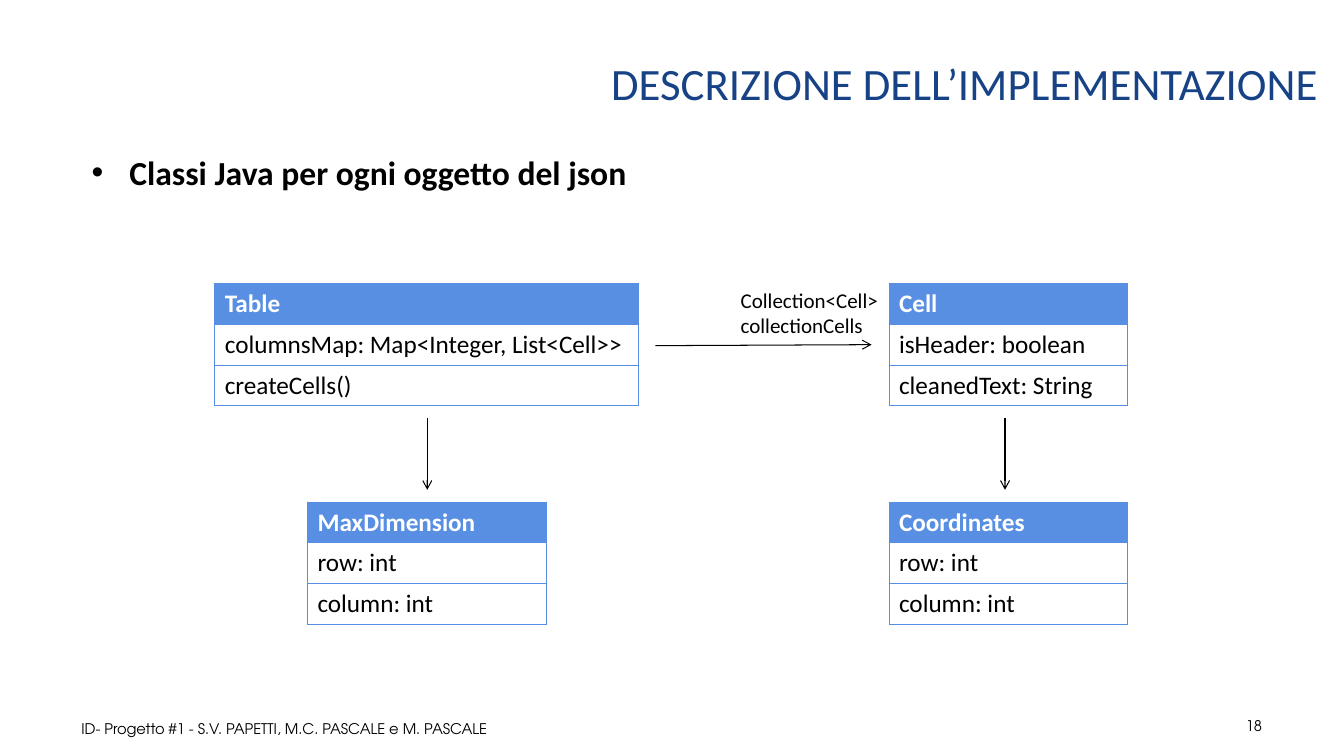
from dataclasses import dataclass

from lxml import etree
from pptx import Presentation
from pptx.dml.color import RGBColor
from pptx.enum.shapes import MSO_CONNECTOR
from pptx.enum.text import MSO_ANCHOR, MSO_AUTO_SIZE, PP_ALIGN
from pptx.oxml.ns import qn
from pptx.util import Pt

LEFT, RIGHT = PP_ALIGN.LEFT, PP_ALIGN.RIGHT
TOP, MIDDLE = MSO_ANCHOR.TOP, MSO_ANCHOR.MIDDLE
STRAIGHT = MSO_CONNECTOR.STRAIGHT
FIXED = MSO_AUTO_SIZE.NONE

COLORS = {"title": "174386", "head": "588FE2", "white": "FFFFFF", "black": "000000"}
BODY, SMALL = "Calibri", "TeX Gyre Adventor"
ROW, LINE = 29.2, 0.75
UPPER, LOWER = 202.3, 358.6
CELL_X, CELL_W = 635, 170.6
TABLE_X, TABLE_W = 153.4, 302.4
TABLE_MID = TABLE_X + TABLE_W / 2 + 0.6
CELL_MID = CELL_X + CELL_W / 2 - 2.4


@dataclass
class Label:
    text: str
    x: float
    y: float
    w: float
    h: float
    size: float
    font: str = BODY
    color: str = "black"
    bold: bool = False
    align: PP_ALIGN = LEFT
    anchor: MSO_ANCHOR = TOP


@dataclass
class Entity:
    x: float
    y: float
    w: float
    rows: tuple[str, ...]


@dataclass
class Arrow:
    x1: float
    y1: float
    x2: float
    y2: float


TITLE = Label("DESCRIZIONE DELL’IMPLEMENTAZIONE", 95, 19.4, 854, 84.2, 32,
              color="title", align=RIGHT, anchor=MIDDLE)
BULLET = Label("Classi Java per ogni oggetto del json", 58.3, 105.1, 539.3, 36, 24, bold=True)
LABELS = [
    Label("Collection<Cell> collectionCells", 522, 201.6, 151.2, 43.9, 15),
    Label("ID- Progetto #1 - S.V. PAPETTI, M.C. PASCALE e M. PASCALE",
          51.1, 506.2, 612, 28.8, 10.5, SMALL, anchor=MIDDLE),
    Label("18", 692.6, 504, 216, 28.8, 10.5, SMALL, align=RIGHT, anchor=MIDDLE),
]
ENTITIES = [
    Entity(TABLE_X, UPPER, TABLE_W,
           ("Table", "columnsMap: Map<Integer, List<Cell>>", "createCells()")),
    Entity(CELL_X, UPPER, CELL_W, ("Cell", "isHeader: boolean", "cleanedText: String")),
    Entity(219.6, LOWER, CELL_W, ("MaxDimension", "row: int", "column: int")),
    Entity(CELL_X, LOWER, CELL_W, ("Coordinates", "row: int", "column: int")),
]
ARROWS = [
    Arrow(468.2, 246.9, 622.6, 246.2),
    *(Arrow(mid, 298.8, mid, 349.9) for mid in (TABLE_MID, CELL_MID)),
]


def rgb(name: str) -> RGBColor:
    return RGBColor.from_string(COLORS[name])


def style(frame, size: float, font: str, color: str, bold: bool) -> None:
    for run in frame.paragraphs[0].runs:
        run.font.size = Pt(size)
        run.font.name = font
        run.font.bold = bold
        run.font.color.rgb = rgb(color)


def write(shape, label: Label) -> None:
    shape.left, shape.top = Pt(label.x), Pt(label.y)
    shape.width, shape.height = Pt(label.w), Pt(label.h)
    frame = shape.text_frame
    frame.text = label.text
    frame.word_wrap = True
    frame.auto_size = FIXED
    frame.vertical_anchor = label.anchor
    frame.paragraphs[0].alignment = label.align
    style(frame, label.size, label.font, label.color, label.bold)


def add_label(slide, label: Label):
    box = slide.shapes.add_textbox(0, 0, 0, 0)
    write(box, label)
    return box


def add_bullet(slide, label: Label) -> None:
    para = add_label(slide, label).text_frame.paragraphs[0]
    props = para._p.get_or_add_pPr()
    props.set("marL", str(Pt(27)))
    props.set("indent", str(-Pt(27)))
    etree.SubElement(props, qn("a:buFont"), typeface="Arial")
    etree.SubElement(props, qn("a:buChar"), char="•")


def add_edges(cell) -> None:
    props = cell._tc.get_or_add_tcPr()
    for side in ("lnL", "lnR", "lnT", "lnB"):
        edge = etree.SubElement(props, qn(f"a:{side}"), w=str(Pt(LINE)))
        fill = etree.SubElement(edge, qn("a:solidFill"))
        etree.SubElement(fill, qn("a:srgbClr"), val=COLORS["head"])


def add_entity(slide, item: Entity) -> None:
    count = len(item.rows)
    table = slide.shapes.add_table(
        count, 1, Pt(item.x), Pt(item.y), Pt(item.w), Pt(ROW * count)).table
    table.horz_banding = False
    for index, text in enumerate(item.rows):
        head = index == 0
        table.rows[index].height = Pt(ROW)
        cell = table.cell(index, 0)
        cell.text_frame.text = text
        style(cell.text_frame, 18, BODY, "white" if head else "black", head)
        add_edges(cell)
        cell.fill.solid()
        cell.fill.fore_color.rgb = rgb("head" if head else "white")


def add_arrow(slide, item: Arrow) -> None:
    link = slide.shapes.add_connector(
        STRAIGHT, Pt(item.x1), Pt(item.y1), Pt(item.x2), Pt(item.y2))
    link.line.color.rgb = rgb("black")
    link.line.width = Pt(LINE)
    etree.SubElement(link.line._get_or_add_ln(), qn("a:tailEnd"), type="arrow")
    etree.SubElement(link._element.spPr, qn("a:effectLst"))


def main() -> None:
    deck = Presentation()
    deck.slide_width, deck.slide_height = Pt(960), Pt(540)
    slide = deck.slides.add_slide(deck.slide_layouts[5])
    title = slide.shapes.title
    write(title, TITLE)
    title.text_frame.paragraphs[0].line_spacing = 0.9
    add_bullet(slide, BULLET)
    for entity in ENTITIES:
        add_entity(slide, entity)
    for arrow in ARROWS:
        add_arrow(slide, arrow)
    for label in LABELS:
        add_label(slide, label)
    deck.save("out.pptx")


main()
